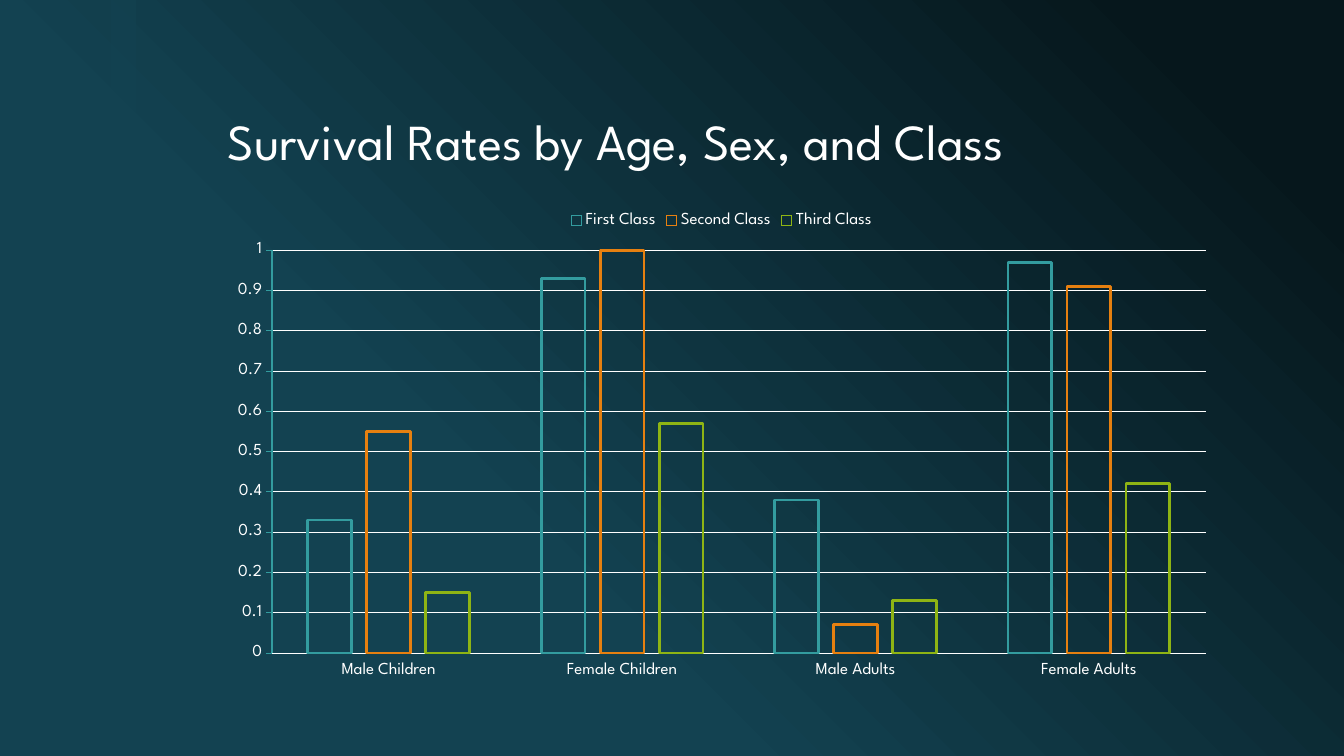
from lxml import etree
from pptx import Presentation
from pptx.chart.data import CategoryChartData
from pptx.dml.color import RGBColor
from pptx.enum.chart import XL_CHART_TYPE, XL_LEGEND_POSITION, XL_TICK_MARK
from pptx.enum.shapes import MSO_SHAPE
from pptx.enum.text import MSO_ANCHOR
from pptx.oxml.ns import qn
from pptx.util import Inches, Pt

COLUMNS = XL_CHART_TYPE.COLUMN_CLUSTERED
LEGEND_TOP = XL_LEGEND_POSITION.TOP
TICK_OUT = XL_TICK_MARK.OUTSIDE
RECTANGLE = MSO_SHAPE.RECTANGLE
BOTTOM = MSO_ANCHOR.BOTTOM

WHITE = RGBColor(0xFF, 0xFF, 0xFF)
NIGHT = RGBColor(0x06, 0x17, 0x1C)
DEEP_TEAL = RGBColor(0x13, 0x42, 0x51)
TEAL = RGBColor(0x33, 0x9C, 0x9F)
ORANGE = RGBColor(0xE6, 0x80, 0x10)
GREEN = RGBColor(0x8E, 0xB4, 0x14)

GROUPS = ["Male Children", "Female Children", "Male Adults", "Female Adults"]
SURVIVAL_RATES = [
    ("First Class", TEAL, [0.33, 0.93, 0.38, 0.97]),
    ("Second Class", ORANGE, [0.55, 1, 0.07, 0.91]),
    ("Third Class", GREEN, [0.15, 0.57, 0.13, 0.42]),
]


def style_font(font, size, color=WHITE, name="League Spartan"):
    font.size = Pt(size)
    font.name = name
    font.color.rgb = color


def style_line(line, color, width):
    line.color.rgb = color
    line.width = Pt(width)


class SlideBuilder:
    """Draws on one slide; places are percentages of its width and height."""

    def __init__(self, presentation):
        self.width = presentation.slide_width
        self.height = presentation.slide_height
        self.slide = presentation.slides.add_slide(presentation.slide_layouts[6])

    def place(self, left, top, width, height):
        return (
            round(self.width * left / 100),
            round(self.height * top / 100),
            round(self.width * width / 100),
            round(self.height * height / 100),
        )

    def background(self, stops, angle):
        fill = self.slide.background.fill
        fill.gradient()
        fill.gradient_angle = angle
        for stop, (position, color) in zip(fill.gradient_stops, stops):
            stop.position = position
            stop.color.rgb = color

    def band(self, area, color, opacity):
        band = self.slide.shapes.add_shape(RECTANGLE, *self.place(*area))
        band.shadow.inherit = False
        band.fill.solid()
        band.fill.fore_color.rgb = color
        band.line.fill.background()
        fill_color = band.fill._xPr.find(qn("a:solidFill"))[0]
        etree.SubElement(fill_color, qn("a:alpha"), val=str(opacity * 1000))

    def text(self, area, wording, size=12, color=WHITE, anchor=BOTTOM, spacing=0.9):
        frame = self.slide.shapes.add_textbox(*self.place(*area)).text_frame
        frame.word_wrap = True
        frame.vertical_anchor = anchor
        paragraph = frame.paragraphs[0]
        paragraph.line_spacing = spacing
        run = paragraph.add_run()
        run.text = wording
        style_font(run.font, size, color)

    def column_chart(self, area, categories, series_rows):
        chart_data = CategoryChartData()
        chart_data.categories = categories
        for name, _, values in series_rows:
            chart_data.add_series(name, values)
        chart = self.slide.shapes.add_chart(
            COLUMNS, *self.place(*area), chart_data
        ).chart
        chart.has_title = False
        style_font(chart.font, 10)

        plot = chart.plots[0]
        plot.vary_by_categories = False
        plot.gap_width = 164
        plot.overlap = -35
        for series, (_, color, _) in zip(plot.series, series_rows):
            series.format.fill.background()
            style_line(series.format.line, color, 2)

        for axis in (chart.category_axis, chart.value_axis):
            axis.major_tick_mark = TICK_OUT
            style_font(axis.tick_labels.font, 12)
        chart.category_axis.format.line.fill.background()
        rate_axis = chart.value_axis
        rate_axis.minimum_scale = 0
        rate_axis.maximum_scale = 1
        rate_axis.major_unit = 0.1
        style_line(rate_axis.format.line, TEAL, 0.75)
        style_line(rate_axis.major_gridlines.format.line, WHITE, 0.75)

        chart.has_legend = True
        chart.legend.position = LEGEND_TOP
        chart.legend.include_in_layout = False
        style_font(chart.legend.font, 12)


def main():
    presentation = Presentation()
    presentation.slide_width = Inches(13.33)
    presentation.slide_height = Inches(7.5)

    builder = SlideBuilder(presentation)
    builder.background([(0.1, NIGHT), (0.65, DEEP_TEAL)], angle=225)
    builder.band((8.25, 0, 1.88, 100), DEEP_TEAL, opacity=60)
    builder.text(
        (16.2, 13.33, 75.6, 10), "Survival Rates by Age, Sex, and Class", size=36
    )
    builder.column_chart((16.2, 26.67, 75, 64.4), GROUPS, SURVIVAL_RATES)
    presentation.save("out.pptx")


if __name__ == "__main__":
    main()
